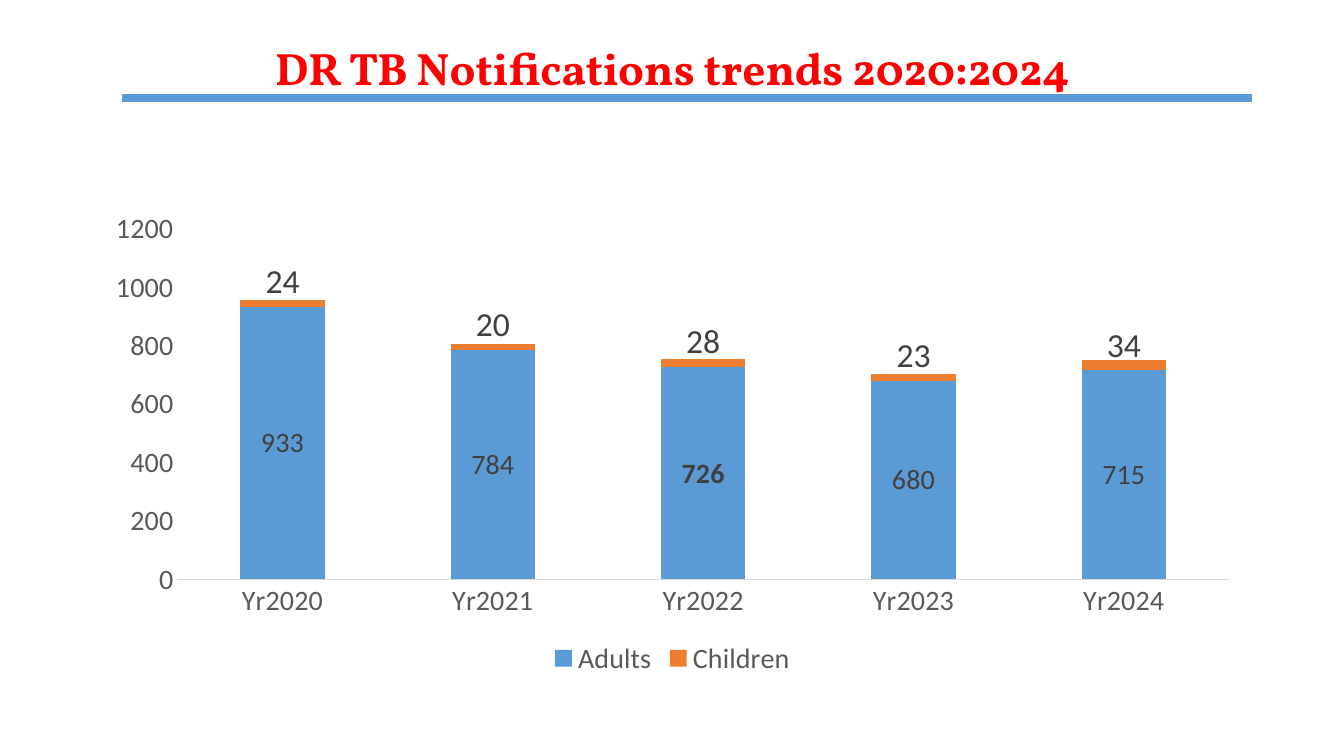
from dataclasses import dataclass

from lxml import etree
from pptx import Presentation
from pptx.chart.data import CategoryChartData
from pptx.dml.color import RGBColor
from pptx.enum.chart import (XL_CHART_TYPE, XL_LABEL_POSITION,
                             XL_LEGEND_POSITION, XL_TICK_MARK)
from pptx.enum.shapes import MSO_CONNECTOR
from pptx.enum.text import MSO_ANCHOR, PP_ALIGN
from pptx.oxml.ns import qn
from pptx.util import Inches, Pt

STACKED = XL_CHART_TYPE.COLUMN_STACKED
CENTER, BASE = XL_LABEL_POSITION.CENTER, XL_LABEL_POSITION.INSIDE_BASE
BOTTOM = XL_LEGEND_POSITION.BOTTOM
NO_TICK = XL_TICK_MARK.NONE
STRAIGHT = MSO_CONNECTOR.STRAIGHT
MIDDLE = MSO_ANCHOR.MIDDLE
MID = PP_ALIGN.CENTER

COLORS = {"red": "FF0000", "blue": "5B9BD5", "orange": "ED7D31",
          "grey": "595959", "dark": "404040", "pale": "D9D9D9"}
YEARS = [f"Yr{year}" for year in range(2020, 2025)]
PLOT = {"x": 0.073, "y": 0.057, "w": 0.907, "h": 0.73}


@dataclass
class Group:
    name: str
    counts: list[int]
    color: str
    size: int
    place: XL_LABEL_POSITION


GROUPS = [
    Group("Adults", [933, 784, 726, 680, 715], "blue", 20, CENTER),
    Group("Children", [24, 20, 28, 23, 34], "orange", 24, BASE),
]


def tint(name: str) -> RGBColor:
    return RGBColor.from_string(COLORS[name])


def style(font, size: float, color: str, face: str = "Calibri",
          bold: bool = False) -> None:
    font.size, font.name, font.bold = Pt(size), face, bold
    font.color.rgb = tint(color)


def add_text(slide, text: str, *, left: float, top: float, width: float,
             height: float, **look) -> None:
    box = slide.shapes.add_textbox(Inches(left), Inches(top),
                                   Inches(width), Inches(height))
    frame = box.text_frame
    frame.word_wrap = True
    frame.vertical_anchor = MIDDLE
    para = frame.paragraphs[0]
    para.alignment, para.line_spacing = MID, 0.9
    run = para.add_run()
    run.text = text
    style(run.font, **look)


def add_rule(slide, left: float, right: float, top: float) -> None:
    rule = slide.shapes.add_connector(STRAIGHT, Inches(left), Inches(top),
                                      Inches(right), Inches(top))
    rule.line.color.rgb = tint("blue")
    rule.line.width = Pt(6)
    etree.SubElement(rule._element.spPr, qn("a:effectLst"))


def place_plot(chart) -> None:
    area = chart._chartSpace.chart.plotArea
    old = area.find(qn("c:layout"))
    if old is not None:
        area.remove(old)
    layout = etree.Element(qn("c:layout"))
    area.insert(0, layout)
    manual = etree.SubElement(layout, qn("c:manualLayout"))
    parts = {"layoutTarget": "inner", "xMode": "edge", "yMode": "edge", **PLOT}
    for tag, val in parts.items():
        etree.SubElement(manual, qn(f"c:{tag}")).set("val", str(val))


def add_chart(slide) -> None:
    data = CategoryChartData()
    data.categories = YEARS
    for group in GROUPS:
        data.add_series(group.name, group.counts)
    chart = slide.shapes.add_chart(STACKED, Inches(0.92), Inches(2),
                                   Inches(11.5), Inches(4.76), data).chart
    chart.has_title = False
    chart.font.name = "Calibri"
    place_plot(chart)

    # Axes and legend
    for axis in (chart.category_axis, chart.value_axis):
        axis.major_tick_mark = axis.minor_tick_mark = NO_TICK
        axis.has_major_gridlines = False
        style(axis.tick_labels.font, 20, "grey")
    base = chart.category_axis.format.line
    base.color.rgb, base.width = tint("pale"), Pt(0.75)
    scale = chart.value_axis
    scale.format.line.fill.background()
    scale.minimum_scale, scale.maximum_scale, scale.major_unit = 0, 1200, 200
    chart.has_legend = True
    chart.legend.position = BOTTOM
    chart.legend.include_in_layout = False
    style(chart.legend.font, 20, "grey")

    # Columns and their labels
    plot = chart.plots[0]
    plot.gap_width, plot.overlap, plot.vary_by_categories = 150, 100, False
    for group, bars in zip(GROUPS, plot.series):
        bars.format.fill.solid()
        bars.format.fill.fore_color.rgb = tint(group.color)
        labels = bars.data_labels
        labels.show_value = True
        labels.position = group.place
        style(labels.font, group.size, "dark")
    adults = plot.series[0]
    peak = adults.points[YEARS.index("Yr2022")].data_label
    style(peak.font, 20, "dark", bold=True)
    peak.position = CENTER


def main() -> None:
    deck = Presentation()
    deck.slide_width, deck.slide_height = Inches(13.33), Inches(7.5)
    slide = deck.slides.add_slide(deck.slide_layouts[6])

    # Heading
    add_rule(slide, 1.21, 12.42, 0.97)
    add_text(slide, "DR TB Notifications trends 2020:2024", left=0.92, top=0.4,
             width=11.5, height=0.6, size=32.4, color="red",
             face="Vollkorn", bold=True)

    # Trend by year
    add_chart(slide)
    deck.save("out.pptx")


if __name__ == "__main__":
    main()
